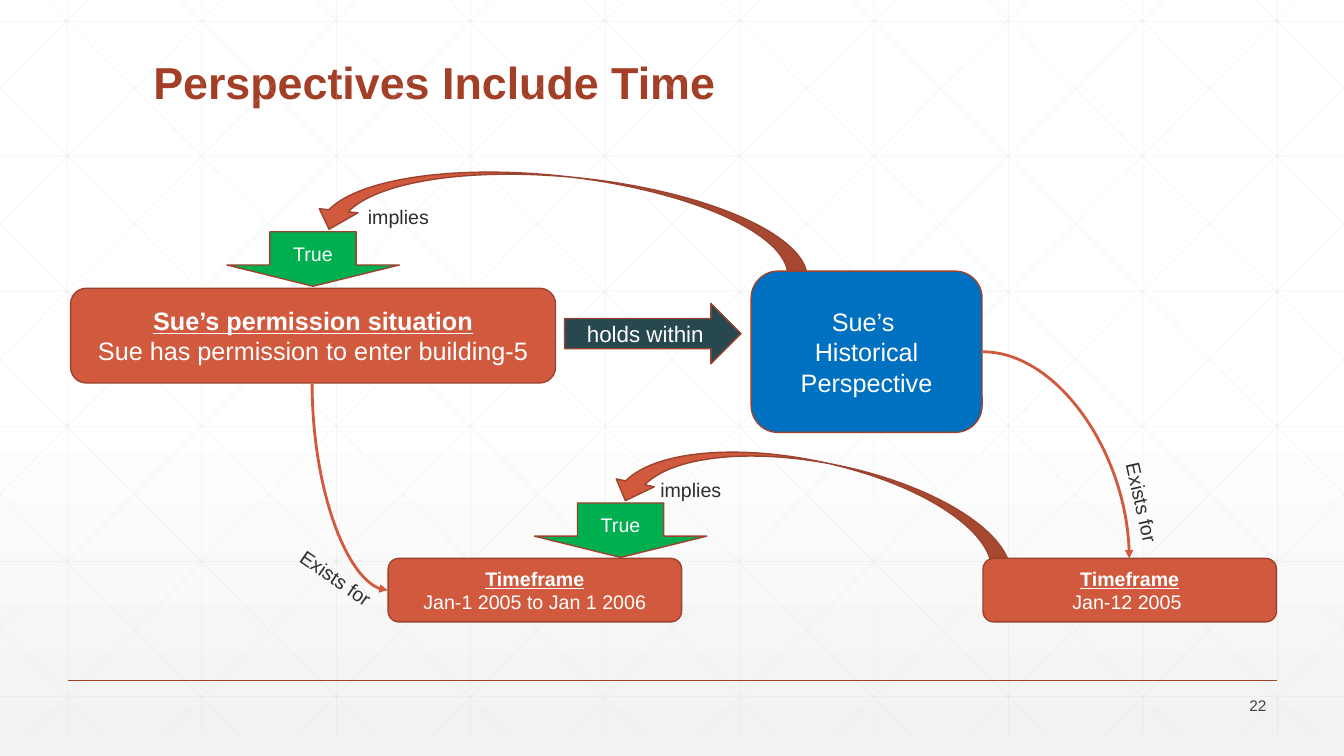
from dataclasses import dataclass

from lxml import etree
from pptx import Presentation
from pptx.dml.color import RGBColor
from pptx.enum.shapes import MSO_CONNECTOR, MSO_SHAPE
from pptx.enum.text import MSO_ANCHOR, MSO_AUTO_SIZE, PP_ALIGN
from pptx.oxml.ns import qn
from pptx.util import Inches, Pt

STRAIGHT, CURVE = MSO_CONNECTOR.STRAIGHT, MSO_CONNECTOR.CURVE
ROUNDED, PROCESS = MSO_SHAPE.ROUNDED_RECTANGLE, MSO_SHAPE.FLOWCHART_ALTERNATE_PROCESS
DOWN, RIGHT, CURVED = MSO_SHAPE.DOWN_ARROW, MSO_SHAPE.RIGHT_ARROW, MSO_SHAPE.CURVED_DOWN_ARROW
CENTER, ALIGN_LEFT, ALIGN_RIGHT = PP_ALIGN.CENTER, PP_ALIGN.LEFT, PP_ALIGN.RIGHT
TOP, MIDDLE = MSO_ANCHOR.TOP, MSO_ANCHOR.MIDDLE
FIT_SHAPE = MSO_AUTO_SIZE.SHAPE_TO_FIT_TEXT

WIDTH, HEIGHT = 13.33, 7.5
ORANGE, OUTLINE, RUST = "D15A3E", "9B432E", "A43F27"
GREEN, BLUE, SLATE = "00B050", "0070C0", "284850"
WHITE, DARK, GRAY, GRID = "FFFFFF", "2D2E2D", "424342", "D9D9D9"
HEADING = {"bold": True, "underline": True}


@dataclass
class Block:
    kind: int
    box: tuple[float, float, float, float]
    fill: str
    lines: tuple[str, ...] = ()
    size: int = 14
    has_heading: bool = False
    rotation: float = 0
    flipped: bool = False
    adjustments: tuple[float, ...] = ()


@dataclass
class Label:
    text: str
    box: tuple[float, float, float, float]
    rotation: float = 0


BLOCKS = [
    Block(CURVED, (6.05, 4.58, 4.09, 0.77), ORANGE, rotation=11.7, flipped=True),
    Block(CURVED, (3.1, 1.75, 4.96, 0.77), ORANGE, rotation=6.1, flipped=True),
    Block(PROCESS, (7.45, 2.69, 2.29, 1.6), BLUE, ("Sue’s ", "Historical Perspective"), 18),
    Block(ROUNDED, (9.75, 5.54, 2.91, 0.63), ORANGE, ("Timeframe", "Jan-12 2005 "),
          has_heading=True),
    Block(ROUNDED, (0.7, 2.86, 4.81, 0.94), ORANGE,
          ("Sue’s permission situation", "Sue has permission to enter building-5"), 18, True),
    Block(ROUNDED, (3.85, 5.54, 2.91, 0.63), ORANGE,
          ("Timeframe", "Jan-1 2005 to Jan 1 2006"), has_heading=True),
    Block(RIGHT, (5.6, 3.01, 1.75, 0.6), SLATE, ("holds within",), 16),
    Block(DOWN, (2.25, 2.3, 1.71, 0.54), GREEN, ("True",), adjustments=(0.5, 0.39)),
    Block(DOWN, (5.3, 4.99, 1.71, 0.54), GREEN, ("True",), adjustments=(0.5, 0.39)),
]
LABELS = [
    Label("Exists for", (2.83, 5.57, 1.01, 0.34), 34.6),
    Label("Exists for", (10.82, 4.82, 1.01, 0.34), 77.2),
    Label("implies", (3.55, 1.98, 0.81, 0.34)),
    Label("implies", (6.45, 4.69, 0.81, 0.34)),
]


def color(value: str) -> RGBColor:
    return RGBColor.from_string(value)


def write(frame, lines, size: int, fill: str, align, first_format: dict | None = None) -> None:
    """Fill a text frame, with extra font values on its first line."""
    for index, line in enumerate(lines):
        paragraph = frame.paragraphs[0] if index == 0 else frame.add_paragraph()
        paragraph.alignment = align
        run = paragraph.add_run()
        run.text = line
        values = {"name": "Arial", "size": Pt(size)}
        if index == 0:
            values.update(first_format or {})
        for name, value in values.items():
            setattr(run.font, name, value)
        run.font.color.rgb = color(fill)


def add_line(slide, ends, stroke: str, weight: float, kind=STRAIGHT, opacity: int = 100):
    line = slide.shapes.add_connector(kind, *map(Inches, ends))
    line.line.color.rgb = color(stroke)
    line.line.width = Pt(weight)
    properties = line.element.spPr
    if opacity < 100:
        tint = properties.find(".//" + qn("a:srgbClr"))
        etree.SubElement(tint, qn("a:alpha"), val=str(opacity * 1000))
    etree.SubElement(properties, qn("a:effectLst"))
    return line


def add_curved_arrow(slide, ends, rotation: int = 0) -> None:
    """Draw a quarter-turn arrow; rotation is in degrees."""
    arrow = add_line(slide, ends, ORANGE, 2, CURVE)
    properties = arrow.element.spPr
    properties.find(qn("a:prstGeom")).set("prst", "curvedConnector2")
    properties.find(qn("a:xfrm")).set("rot", str(rotation * 60000))
    etree.SubElement(properties.find(qn("a:ln")), qn("a:tailEnd"), type="triangle")


def add_grid(slide) -> None:
    top, bottom, step, run = -0.21, 7.29, 4 / 3, 7.455
    slope = (bottom - top) / run
    lines = [(0.67 + step * i, top, 0.67 + step * i, bottom) for i in range(10)]
    lines += [(0, 0.21 + 1.34 * i, WIDTH, 0.21 + 1.34 * i) for i in range(6)]
    for index in range(-5, 10):
        start = 0.25 + step * index
        left, right = max(start, 0), min(start + run, WIDTH)
        upper, lower = (top + (x - start) * slope for x in (left, right))
        lines += [(left, upper, right, lower), (WIDTH - left, upper, WIDTH - right, lower)]
    for ends in lines:
        add_line(slide, ends, GRID, 0.5, opacity=25)


def add_block(slide, block: Block) -> None:
    shape = slide.shapes.add_shape(block.kind, *map(Inches, block.box))
    shape.shadow.inherit = False
    shape.fill.solid()
    shape.fill.fore_color.rgb = color(block.fill)
    shape.line.color.rgb = color(OUTLINE)
    shape.line.width = Pt(1)
    shape.rotation = block.rotation
    if block.flipped:
        shape.element.spPr.find(qn("a:xfrm")).set("flipH", "1")
    for index, value in enumerate(block.adjustments):
        shape.adjustments[index] = value
    shape.text_frame.vertical_anchor = MIDDLE
    write(shape.text_frame, block.lines, block.size, WHITE, CENTER,
          HEADING if block.has_heading else None)


def add_label(slide, label: Label) -> None:
    box = slide.shapes.add_textbox(*map(Inches, label.box))
    box.rotation = label.rotation
    box.text_frame.word_wrap = False
    box.text_frame.auto_size = FIT_SHAPE
    write(box.text_frame, [label.text], 14, DARK, ALIGN_LEFT)


def set_background(slide) -> None:
    fill = slide.background.fill
    fill.gradient()
    fill.gradient_angle = 270
    stops = slide.element.find(".//" + qn("a:gsLst"))
    for stop in list(stops):
        stops.remove(stop)
    for position, value in ((0, WHITE), (53, WHITE), (100, "F2F2F2")):
        stop = etree.SubElement(stops, qn("a:gs"), pos=str(position * 1000))
        etree.SubElement(stop, qn("a:srgbClr"), val=value)


def set_title(slide) -> None:
    title = slide.shapes.title
    title.left, title.top, title.width, title.height = map(Inches, (1.42, 0.55, 10.5, 1.25))
    title.text_frame.vertical_anchor = TOP
    write(title.text_frame, ["Perspectives Include Time"], 32, RUST, ALIGN_LEFT, {"bold": True})
    title.text_frame.paragraphs[0].line_spacing = 0.9


def add_slide_number(slide) -> None:
    box = slide.shapes.add_textbox(*map(Inches, (11.66, 6.88, 1, 0.24)))
    box.text_frame.word_wrap = True
    box.text_frame.vertical_anchor = MIDDLE
    write(box.text_frame, ["22"], 11, GRAY, ALIGN_RIGHT)


def main() -> None:
    presentation = Presentation()
    presentation.slide_width, presentation.slide_height = Inches(WIDTH), Inches(HEIGHT)
    slide = presentation.slides.add_slide(presentation.slide_layouts[5])
    set_background(slide)
    set_title(slide)
    add_grid(slide)
    add_line(slide, (0.67, 6.75, 12.67, 6.75), RUST, 1)
    add_slide_number(slide)
    for block in BLOCKS:
        add_block(slide, block)
    add_curved_arrow(slide, (4.5, 4.45, 2.44, 5.2), rotation=270)
    add_curved_arrow(slide, (9.75, 3.49, 11.2, 5.54))
    for label in LABELS:
        add_label(slide, label)
    presentation.save("out.pptx")


if __name__ == "__main__":
    main()
